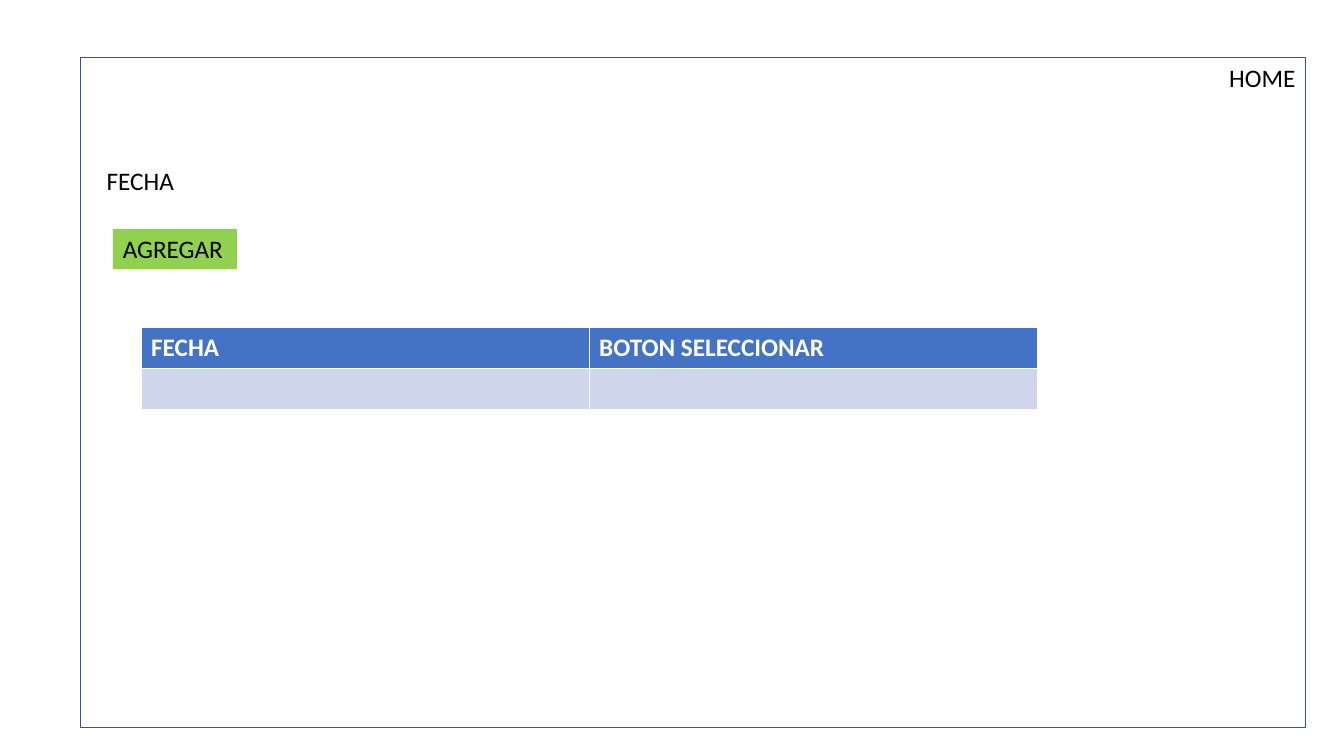
from dataclasses import dataclass

from pptx import Presentation
from pptx.dml.color import RGBColor
from pptx.enum.shapes import MSO_SHAPE
from pptx.enum.text import PP_ALIGN
from pptx.util import Inches, Pt

RECT = MSO_SHAPE.RECTANGLE
LEFT, RIGHT = PP_ALIGN.LEFT, PP_ALIGN.RIGHT
COLS, ROWS = 160, 90  # grid over the whole slide


@dataclass(frozen=True)
class Theme:
    font: str = "Calibri"
    size: int = 18
    text: str = "000000"
    frame: str = "325491"
    button: str = "92D050"
    header: str = "4472C4"
    header_text: str = "FFFFFF"
    body: str = "CFD5EA"


class Page:
    def __init__(self, prs, theme):
        self.theme = theme
        self.s = prs.slides.add_slide(prs.slide_layouts[6])
        self.col = prs.slide_width / COLS
        self.row = prs.slide_height / ROWS

    def box(self, x, y, w, h):
        return (round(x * self.col), round(y * self.row),
                round(w * self.col), round(h * self.row))

    def add_text(self, tf, text, color, bold=False, align=LEFT):
        p = tf.paragraphs[0]
        p.alignment = align
        r = p.add_run()
        r.text = text
        r.font.name = self.theme.font
        r.font.size = Pt(self.theme.size)
        r.font.bold = bold
        r.font.color.rgb = RGBColor.from_string(color)

    def frame(self, *cells):
        sp = self.s.shapes.add_shape(RECT, *self.box(*cells))
        sp.shadow.inherit = False
        sp.fill.background()
        sp.line.color.rgb = RGBColor.from_string(self.theme.frame)
        sp.line.width = Pt(1)

    def label(self, text, *cells, fill=None, align=LEFT):
        sp = self.s.shapes.add_textbox(*self.box(*cells))
        if fill:
            sp.fill.solid()
            sp.fill.fore_color.rgb = RGBColor.from_string(fill)
        sp.text_frame.word_wrap = True
        self.add_text(sp.text_frame, text, self.theme.text, align=align)

    def table(self, rows, *cells):
        shape = self.s.shapes.add_table(len(rows), len(rows[0]), *self.box(*cells))
        for i, values in enumerate(rows):
            for j, value in enumerate(values):
                cell = shape.table.cell(i, j)
                cell.fill.solid()
                cell.fill.fore_color.rgb = RGBColor.from_string(
                    self.theme.body if i else self.theme.header)
                if value:
                    self.add_text(cell.text_frame, value, self.theme.header_text, bold=True)


def main():
    prs = Presentation()
    prs.slide_width, prs.slide_height = Inches(13.33), Inches(7.5)
    theme = Theme()
    page = Page(prs, theme)
    left, top, width, line = 9.6, 6.84, 145.8, 4.8

    # Window frame
    page.frame(left, top, width, 79.8)

    # Date field and add button
    page.label("FECHA", 11.52, 19.08, 18.6, line)
    page.label("AGREGAR", 13.44, 27.24, 14.76, line, fill=theme.button)

    # Date list
    page.table([["FECHA", "BOTON SELECCIONAR"], ["", ""]], 16.8, 39, 106.68, 9.72)

    # Navigation
    page.label("HOME", left, top, width, line, align=RIGHT)

    prs.save("out.pptx")


if __name__ == "__main__":
    main()
